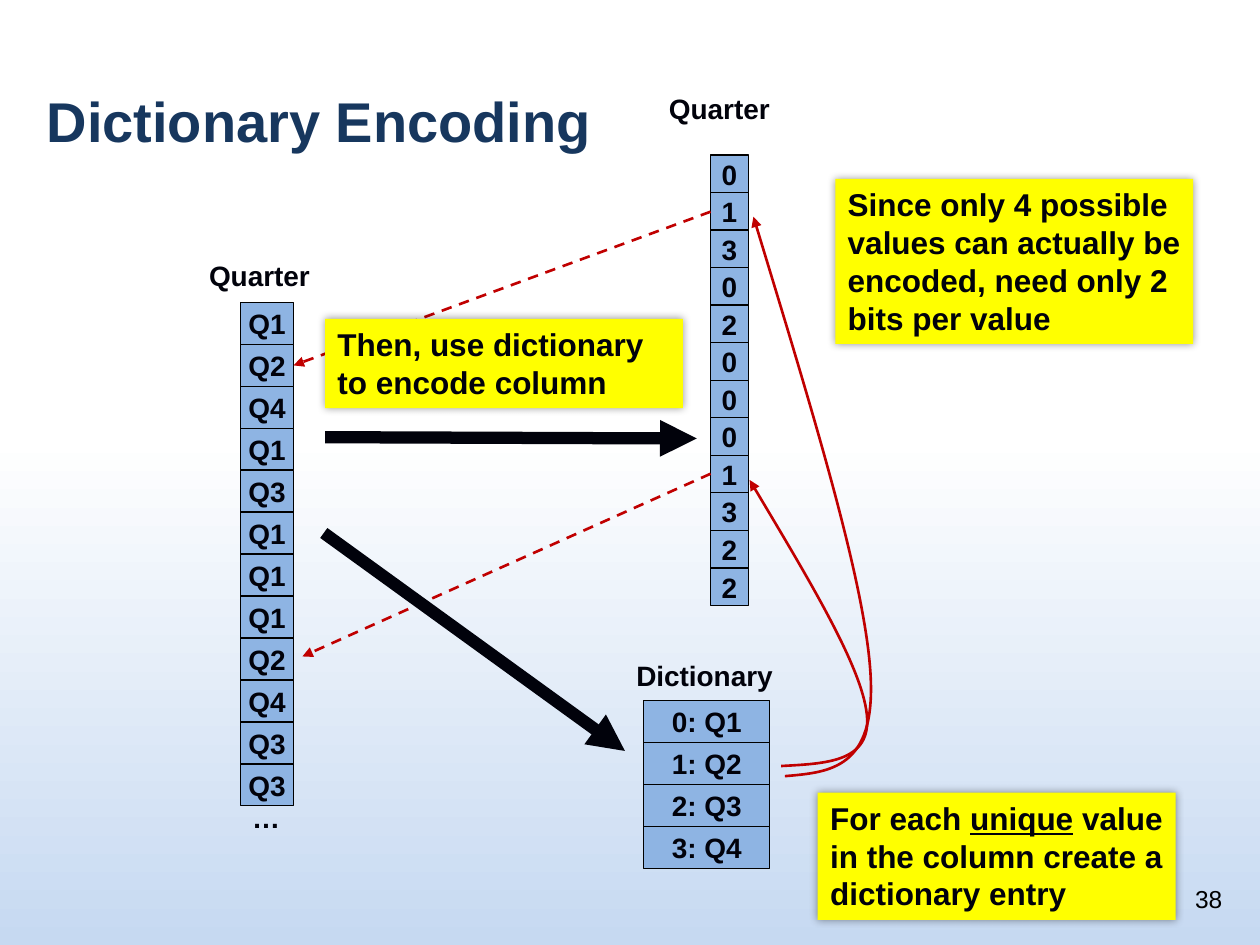
import pptx
import pptx.util
import pptx.dml.color
import pptx.enum.dml
import pptx.enum.shapes
import pptx.enum.text
import pptx.oxml
import pptx.oxml.ns
import lxml.etree

# The slide is a grid of 100 columns by 75 rows
WIDE, HIGH = pptx.util.Inches(10), pptx.util.Inches(7.5)
COLS, ROWS = 100, 75
INK, BLUE, RED, GOLD, BLACK = "01020B", "8EB4E3", "C00000", "FFFF00", "000000"
ALIGN = pptx.enum.text.PP_ALIGN
ANCHOR = pptx.enum.text.MSO_ANCHOR
RECT = pptx.enum.shapes.MSO_SHAPE.RECTANGLE
SIDES = ("margin_left", "margin_top", "margin_right", "margin_bottom")
qn = pptx.oxml.ns.qn


def hue(code):
    return pptx.dml.color.RGBColor.from_string(code)


def spot(col, row):
    return round(col * WIDE / COLS), round(row * HIGH / ROWS)


def area(left, top, width, height):
    return spot(left, top) + spot(width, height)


def apply(item, **values):
    for name, value in values.items():
        setattr(item, name, value)


def write(shape, runs, size=16, color=INK, bold=True, align=ALIGN.LEFT, **frame):
    """Fill a shape with one paragraph of (text, underline) runs."""
    apply(shape.text_frame, **{"word_wrap": True, **frame})
    para = shape.text_frame.paragraphs[0]
    para.alignment = align
    for text, under in runs:
        run = para.add_run()
        run.text = text
        apply(run.font, name="Arial", size=pptx.util.Pt(size), bold=bold,
              underline=under)
        run.font.color.rgb = hue(color)


def box(slide, place, fill):
    shape = slide.shapes.add_shape(RECT, *area(*place))
    shape.shadow.inherit = False
    shape.fill.solid()
    shape.fill.fore_color.rgb = hue(fill)
    return shape


def stack(slide, left, top, width, height, step, items):
    """Draw a column of outlined cells."""
    for row, text in enumerate(items):
        cell = box(slide, (left, top + row * step, width, height), BLUE)
        cell.line.color.rgb = hue(BLACK)
        cell.line.width = pptx.util.Pt(0.75)
        write(cell, [(text, None)], align=ALIGN.CENTER, word_wrap=False,
              vertical_anchor=ANCHOR.MIDDLE)


def label(slide, left, top, width, text):
    shape = slide.shapes.add_textbox(*area(left, top, width, 2.7))
    write(shape, [(text, None)], **dict.fromkeys(SIDES, 0))


def note(slide, left, top, height, *runs):
    """Draw a yellow note with a soft glow of shadow."""
    shape = box(slide, (left, top, 28.4, height), GOLD)
    shape.line.fill.background()
    glow = shape.element.spPr.find(qn("a:effectLst"))
    shade = lxml.etree.SubElement(glow, qn("a:outerShdw"),
                                  blurRad=str(pptx.util.Pt(5)), dist="0", dir="0")
    tint = lxml.etree.SubElement(shade, qn("a:srgbClr"), val=BLACK)
    lxml.etree.SubElement(tint, qn("a:alpha"), val="40000")
    write(shape, runs, size=18, vertical_anchor=ANCHOR.TOP)


def point(shape, color, width):
    """Style a line and put an arrowhead at its end."""
    shape.line.color.rgb = hue(color)
    shape.line.width = pptx.util.Pt(width)
    line = shape.element.spPr.find(qn("a:ln"))
    lxml.etree.SubElement(line, qn("a:tailEnd"), type="triangle")


def arrow(slide, start, end, color, width, dash=None):
    kind = pptx.enum.shapes.MSO_CONNECTOR.STRAIGHT
    link = slide.shapes.add_connector(kind, *spot(*start), *spot(*end))
    link.line.dash_style = dash
    point(link, color, width)
    lxml.etree.SubElement(link.element.spPr, qn("a:effectLst"))


def curve(slide, start, *knots):
    """Draw an arrow of cubic curves, three knots to each."""
    form = slide.shapes.build_freeform(*spot(*start))
    form.add_line_segments([spot(*knot) for knot in knots], close=False)
    shape = form.convert_to_shape()
    shape.shadow.inherit = False
    shape.fill.background()
    point(shape, RED, 1.5)
    legs = shape.element.xpath(".//a:lnTo")
    track = legs[0].getparent()
    for first in range(0, len(legs), 3):
        bend = lxml.etree.SubElement(track, qn("a:cubicBezTo"))
        for leg in legs[first:first + 3]:
            bend.append(leg[0])
            track.remove(leg)


def sky(slide):
    fill = slide.background.fill
    fill.gradient()
    fill.gradient_angle = 270
    for stop, (place, code) in zip(fill.gradient_stops,
                                   ((0.46, "FFFFFF"), (1, "C6D9F1"))):
        stop.position = place
        stop.color.rgb = hue(code)


def head(slide, text):
    title = slide.shapes.title
    names = ("left", "top", "width", "height")
    apply(title, **dict(zip(names, area(2.7, 1.9, 45.6, 10.8))))
    write(title, [(text, None)], size=32, color="17375E",
          vertical_anchor=ANCHOR.BOTTOM)


def main():
    deck = pptx.Presentation()
    apply(deck, slide_width=WIDE, slide_height=HIGH)
    slide = deck.slides.add_slide(deck.slide_layouts[5])
    sky(slide)
    head(slide, "Dictionary Encoding")

    # Page number, clear of the bottom note
    page = slide.shapes.add_textbox(*area(93.6, 68, 4.4, 5))
    write(page, [("38", None)], size=14, color=BLACK, bold=False,
          align=ALIGN.RIGHT, vertical_anchor=ANCHOR.BOTTOM)

    # Source column, its codes and the dictionary
    codes = (0, 1, 3, 0, 2, 0, 0, 0, 1, 3, 2, 2)
    stack(slide, 19.1, 24, 4.2, 3.33, 3.33, [f"Q{code + 1}" for code in codes])
    label(slide, 20, 63.5, 2.5, "…")
    label(slide, 16.6, 20.5, 10, "Quarter")
    stack(slide, 56.4, 12.3, 3, 3, 2.98, [str(code) for code in codes])
    label(slide, 53.1, 7.3, 10, "Quarter")
    stack(slide, 51.1, 55.6, 10, 3.33, 3.33,
          [f"{code}: Q{code + 1}" for code in range(4)])
    label(slide, 50.5, 52.3, 12.5, "Dictionary")

    # Links from the dictionary to codes, and from codes to source
    curve(slide, (62, 60.8), (65.6, 60.6), (69.2, 60.5), (68.8, 56.7),
          (68.4, 52.9), (63.9, 45.5), (59.5, 38.1))
    curve(slide, (62.3, 61.6), (65.9, 61.3), (69.5, 61), (69.1, 53.6),
          (68.7, 46.2), (64.2, 31.7), (59.8, 17.2))
    dash = pptx.enum.dml.MSO_LINE.DASH
    arrow(slide, (56.4, 16.8), (23.3, 29), RED, 1.5, dash)
    arrow(slide, (56.4, 37.6), (24, 52.1), RED, 1.5, dash)

    # Steps and their notes
    arrow(slide, (25.7, 42.3), (49.6, 59.6), INK, 7)
    arrow(slide, (25.8, 34.7), (55.3, 34.8), INK, 7)
    note(slide, 64.9, 62.9, 10.1, ("For each ", None), ("unique", True),
         (" value in the column create a dictionary entry", None))
    note(slide, 66.3, 14.2, 13.1, ("Since only 4 possible values can actually "
                                   "be encoded, need only 2 bits per value", None))
    note(slide, 25.8, 25.3, 7.1, ("Then, use dictionary to encode column", None))

    deck.save("out.pptx")


main()
